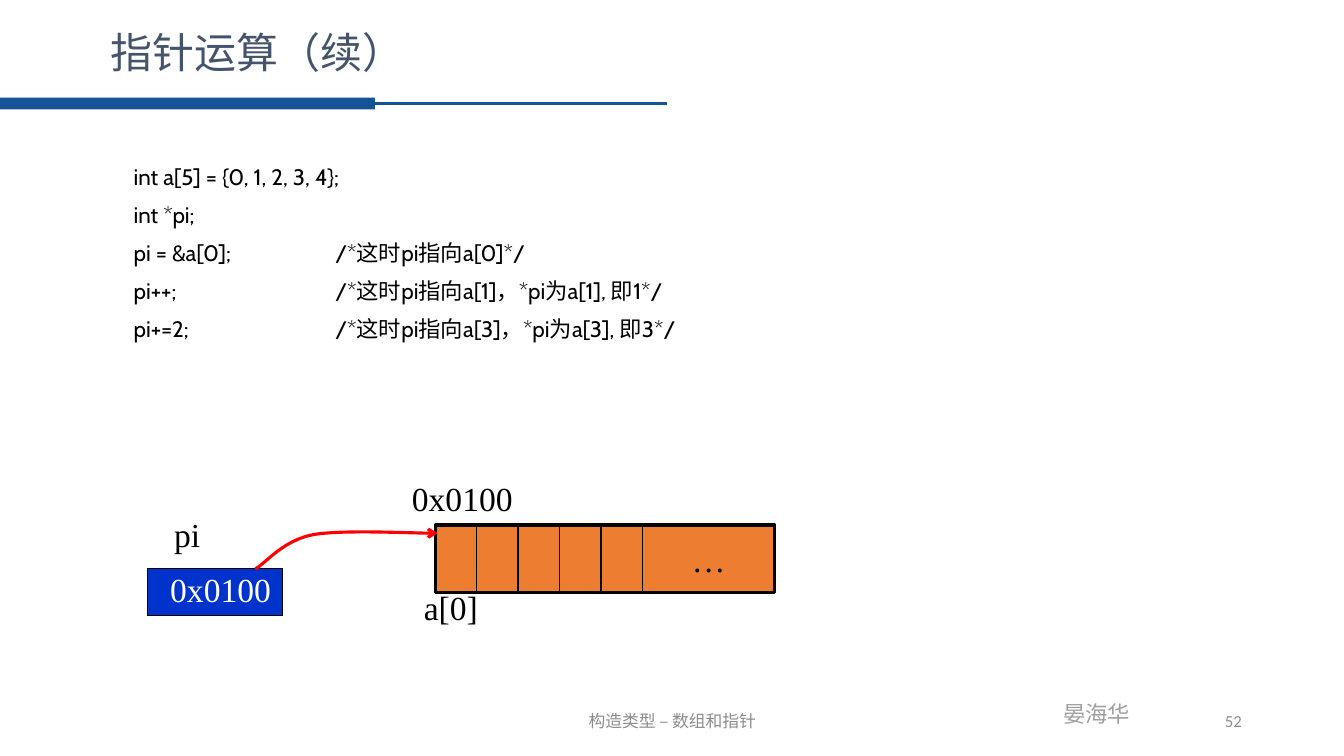
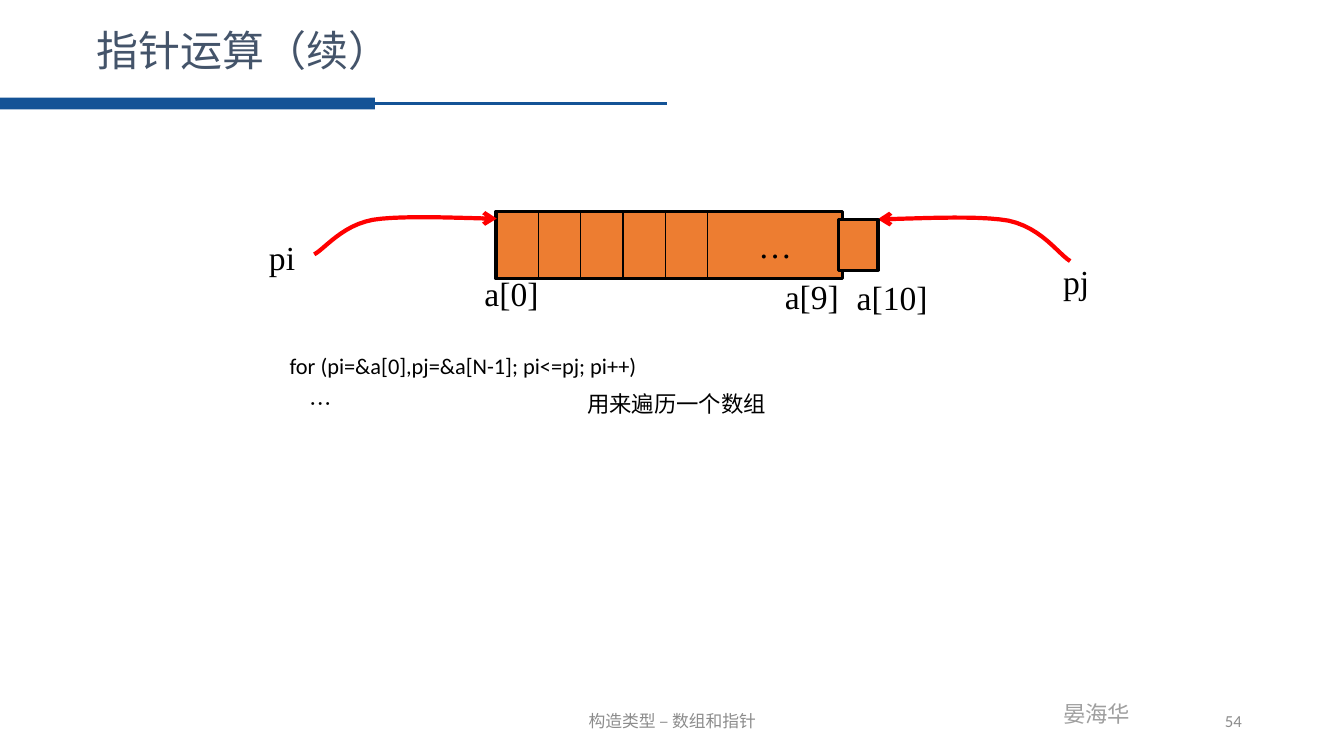
from lxml import etree
from pptx import Presentation
from pptx.dml.color import RGBColor
from pptx.enum.shapes import MSO_CONNECTOR, MSO_SHAPE
from pptx.enum.text import MSO_ANCHOR, PP_ALIGN
from pptx.oxml.ns import qn
from pptx.util import Cm, Pt

RECT, STRAIGHT = MSO_SHAPE.RECTANGLE, MSO_CONNECTOR.STRAIGHT
TOP, MIDDLE = MSO_ANCHOR.TOP, MSO_ANCHOR.MIDDLE
LEFT, CENTER, RIGHT = PP_ALIGN.LEFT, PP_ALIGN.CENTER, PP_ALIGN.RIGHT
BAND, TITLE, GRAY, AUTHOR = "145396", "44546A", "8C8C8C", "9F9F9F"
ORANGE, BLUE, RED, BLACK, WHITE = "ED7D31", "0033CC", "FF0000", "000000", "FFFFFF"
BODY, SERIF = "Calibri", "Times New Roman"
CURVE = [(0, 1), (0.06, 0.85), (0.15, 0.28), (0.32, 0.13),
         (0.49, 0), (0.86, 0.1), (1, 0.1)]
CURVE_STEPS = 12
CELLS = 5


def color(value):
    """Turn a hex string into a colour."""
    return RGBColor.from_string(value)


def write(tf, text, font=BODY, size=16, fill=BLACK, align=LEFT, anchor=TOP,
          wrap=True, before=0, spacing=None, tabs=()):
    """Fill a text frame with one paragraph per line of text."""
    tf.word_wrap = wrap
    tf.vertical_anchor = anchor
    for i, line in enumerate(text.split("\n")):
        p = tf.add_paragraph() if i else tf.paragraphs[0]
        p.alignment = align
        if i:
            p.space_before = Pt(before)
        if spacing:
            p.line_spacing = spacing
        if tabs:
            stops = etree.SubElement(p._p.get_or_add_pPr(), qn("a:tabLst"))
            for pos in tabs:
                etree.SubElement(stops, qn("a:tab"), pos=str(Cm(pos)), algn="l")
        r = p.add_run()
        r.text = line
        r.font.name = font
        r.font.size = Pt(size)
        r.font.color.rgb = color(fill)


def add_text(s, x, y, w, h, text, **fmt):
    """Add a text box."""
    write(s.shapes.add_textbox(Cm(x), Cm(y), Cm(w), Cm(h)).text_frame, text, **fmt)


def add_label(s, x, y, text, w=2.6):
    """Add a large serif label."""
    add_text(s, x, y, w, 1.27, text, font=SERIF, size=24)


def add_rect(s, x, y, w, h, fill, line=None, width=2.25):
    """Add a rectangle, outlined when a line colour is given."""
    sp = s.shapes.add_shape(RECT, Cm(x), Cm(y), Cm(w), Cm(h))
    sp.shadow.inherit = False
    sp.fill.solid()
    sp.fill.fore_color.rgb = color(fill)
    if line:
        sp.line.color.rgb = color(line)
        sp.line.width = Pt(width)
    else:
        sp.line.fill.background()
    return sp


def add_line(s, x1, y1, x2, y2, line, width):
    """Add a straight line."""
    cx = s.shapes.add_connector(STRAIGHT, Cm(x1), Cm(y1), Cm(x2), Cm(y2))
    cx.line.color.rgb = color(line)
    cx.line.width = Pt(width)
    etree.SubElement(cx._element.spPr, qn("a:effectLst"))


def bezier(p0, p1, p2, p3, t):
    """Return the point at t on a cubic curve."""
    u = 1 - t
    return tuple(u**3 * a + 3 * u * u * t * b + 3 * u * t * t * c + t**3 * d
                 for a, b, c, d in zip(p0, p1, p2, p3))


def add_curved_arrow(s, x, y, w, h, width, flip=False):
    """Add a red curved arrow in a box, pointing right or, flipped, left."""
    fractions = [CURVE[0]] + [
        bezier(*CURVE[k:k + 4], i / CURVE_STEPS)
        for k in (0, 3) for i in range(1, CURVE_STEPS + 1)]
    points = [(Cm(x + w * (1 - fx if flip else fx)), Cm(y + h * fy))
              for fx, fy in fractions]
    builder = s.shapes.build_freeform(*points[0])
    builder.add_line_segments(points[1:], close=False)
    sp = builder.convert_to_shape()
    sp.shadow.inherit = False
    sp.fill.background()
    sp.line.color.rgb = color(RED)
    sp.line.width = Pt(width)
    etree.SubElement(sp._element.spPr.find(qn("a:ln")), qn("a:tailEnd"), type="arrow")


def add_array(s, x, y, w, h=1.7):
    """Draw an array: equal cells, then a wide cell with an ellipsis."""
    sp = add_rect(s, x, y, w, h, ORANGE, BLACK)
    cells_width = 0.61 * w
    sp.text_frame.margin_left = Cm(cells_width)
    sp.text_frame.margin_right = 0
    write(sp.text_frame, "…", font=SERIF, size=24, align=CENTER, anchor=MIDDLE)
    for i in range(1, CELLS + 1):
        cx = x + cells_width * i / CELLS
        add_line(s, cx, y, cx, y + h, BLACK, 1)
    add_label(s, x - 0.54, y + 1.43, "a[0]")


def add_address_diagram(s, x, y):
    """Draw a pointer holding the address of an array placed at x, y."""
    add_array(s, x, y, 8.56)
    add_label(s, x - 6.83, y - 0.4, "pi")
    sp = add_rect(s, x - 7.24, y + 1.1, 3.4, 1.19, BLUE, BLACK, 0.75)
    tf = sp.text_frame
    tf.margin_left, tf.margin_right, tf.margin_top = Cm(0.56), 0, 0
    write(tf, "0x0100", font=SERIF, size=24, fill=WHITE)
    add_label(s, x - 0.84, y - 1.32, "0x0100", w=3.4)
    add_curved_arrow(s, x - 4.54, y + 0.11, 4.6, 1, 2.25)


def add_range_diagram(s, x, y):
    """Draw two pointers at the ends of an array placed at x, y."""
    add_array(s, x, y, 8.74)
    add_label(s, x - 5.97, y + 0.51, "pi")
    add_curved_arrow(s, x - 4.58, y + 0.08, 4.6, 1, 3)
    add_label(s, x + 7.03, y + 1.5, "a[9]")
    add_label(s, x + 14.04, y + 1.12, "pj")
    add_curved_arrow(s, x + 9.62, y + 0.08, 4.85, 1.17, 3, flip=True)
    add_rect(s, x + 8.63, y + 0.21, 1, 1.27, ORANGE, BLACK)
    add_label(s, x + 8.84, y + 1.53, "a[10]")


def add_slide(prs, number, title_x, title_y):
    """Add a slide with the shared bands, footer and title."""
    s = prs.slides.add_slide(prs.slide_layouts[6])
    add_text(s, 26.54, 17.53, 2.24, 0.94, "晏海华", fill=AUTHOR, wrap=False)
    add_rect(s, 0, 2.46, 9.45, 0.3, BAND)
    add_line(s, 9.35, 2.6, 16.81, 2.6, BAND, 2.25)
    footer = dict(size=12, fill=GRAY, anchor=MIDDLE)
    add_text(s, 11.23, 17.65, 11.43, 1.02, "构造类型 – 数组和指针", align=CENTER, **footer)
    add_text(s, 23.93, 17.65, 7.62, 1.02, str(number), align=RIGHT, **footer)
    add_text(s, title_x, title_y, 22.76, 2, "指针运算（续）", font="Arial Narrow",
             size=30, fill=TITLE, anchor=MIDDLE, spacing=0.8)
    return s


def main():
    """Build and save the presentation."""
    prs = Presentation()
    prs.slide_width, prs.slide_height = Cm(33.87), Cm(19.05)

    s = add_slide(prs, 52, 2.54, 0.42)
    add_address_diagram(s, 10.97, 13.23)
    add_text(s, 3.12, 3.99, 19.61, 5,
             "int a[5] = {0, 1, 2, 3, 4};\n"
             "int *pi;\n"
             "pi = &a[0];\t/*这时pi指向a[0]*/\n"
             "pi++;\t/*这时pi指向a[1]，*pi为a[1], 即1*/\n"
             "pi+=2;\t/*这时pi指向a[3]，*pi为a[3], 即3*/",
             font="Cabin", before=8, tabs=(5.08,))

    s = add_slide(prs, 54, 2.18, 0.38)
    add_range_diagram(s, 12.5, 5.33)
    add_text(s, 7.05, 8.74, 21.31, 1.96,
             "for (pi=&a[0],pj=&a[N-1]; pi<=pj; pi++)\n"
             "\t…\t用来遍历一个数组",
             before=8, tabs=(0.51, 7.5))

    prs.save("out.pptx")


if __name__ == "__main__":
    main()
